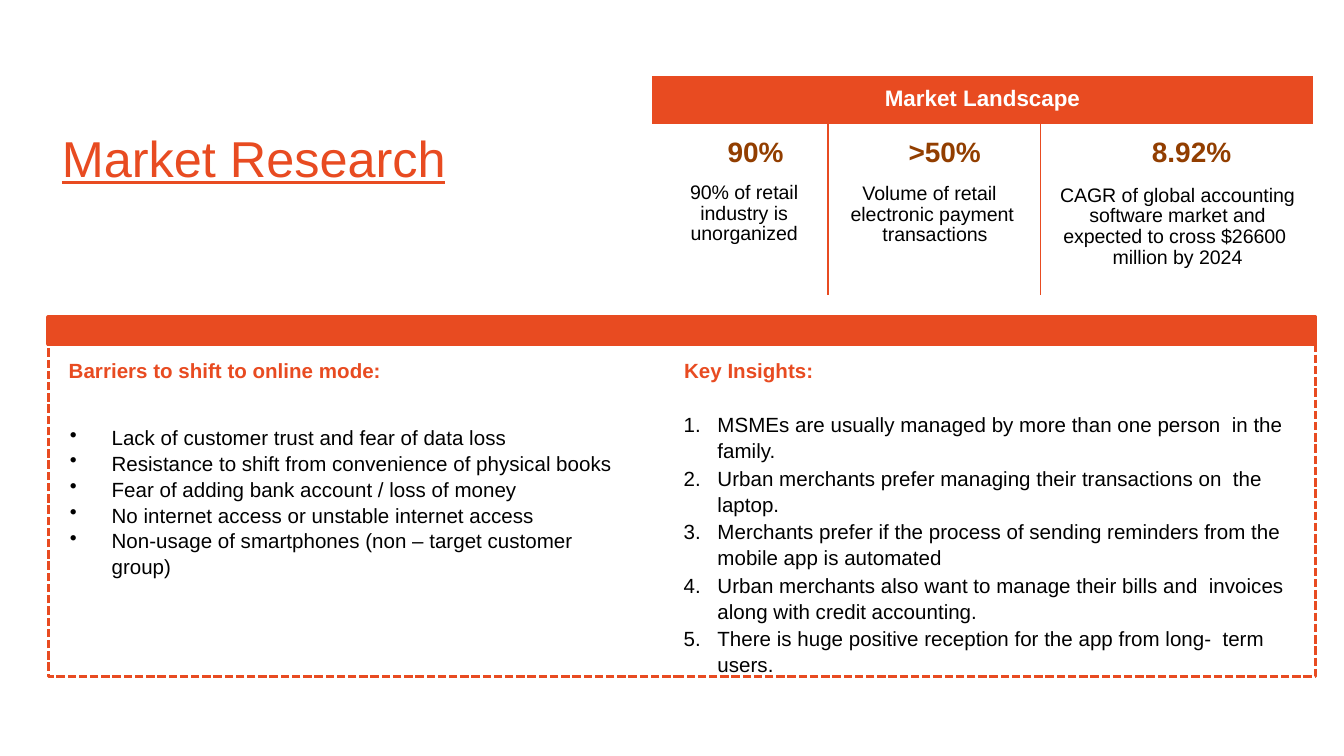
import pptx
import pptx.dml.color
import pptx.enum.dml
import pptx.enum.shapes
import pptx.enum.text
import pptx.oxml.ns
import pptx.oxml.xmlchemy
import pptx.util
from lxml import etree

Cm = pptx.util.Cm
Pt = pptx.util.Pt
qn = pptx.oxml.ns.qn
ALIGN = pptx.enum.text.PP_ALIGN

ORANGE = pptx.dml.color.RGBColor(0xE8, 0x4B, 0x21)
BROWN = pptx.dml.color.RGBColor(0x92, 0x3E, 0x00)
BLACK = pptx.dml.color.RGBColor(0, 0, 0)
WHITE = pptx.dml.color.RGBColor(255, 255, 255)

NO_TABLE_STYLE = "{2D5ABB26-0587-4C30-8999-92F81FD0307C}"

# Column width, margins left and right, figure indent, gap in points, figure, text
LANDSCAPE = [
    (3.33, 0.69, 0.53, 0.74, 8, "90%", "90% of retail  industry is  unorganized"),
    (4.01, 0.41, 0.48, 1.11, 8.6, ">50%",
     "Volume of retail  electronic payment  transactions"),
    (5.16, 0.33, 0.3, 1.78, 9.4, "8.92%",
     "CAGR of global accounting  software market and  expected to cross "
     "$26600  million by 2024"),
]
BARRIERS = [
    "Lack of customer trust and fear of data loss",
    "Resistance to shift from convenience of physical books",
    "Fear of adding bank account / loss of money",
    "No internet access or unstable internet access",
    "Non-usage of smartphones (non – target customer  group)",
]
INSIGHTS = [
    "MSMEs are usually managed by more than one person  in the family.",
    "Urban merchants prefer managing their transactions on  the laptop.",
    "Merchants prefer if the process of sending reminders from the mobile app is automated",
    "Urban merchants also want to manage their bills and  invoices along with credit accounting.",
    "There is huge positive reception for the app from long-  term users.",
]


def write(paragraph, text, size, color, bold=False, align=ALIGN.LEFT,
          before=0, spacing=1.0):
    paragraph.text = text
    paragraph.alignment = align
    paragraph.space_before = Pt(before)
    paragraph.line_spacing = spacing
    font = paragraph.font
    font.name, font.size, font.bold = "Arial", Pt(size), bold
    font.color.rgb = color


def set_indent(paragraph, left, hanging=0):
    properties = paragraph._p.get_or_add_pPr()
    properties.set("marL", str(Cm(left)))
    properties.set("indent", str(-Cm(hanging)))
    return properties


def add_text_frame(slide, left, top, width, height, margin_right=0):
    frame = slide.shapes.add_textbox(
        Cm(left), Cm(top), Cm(width), Cm(height)).text_frame
    frame.word_wrap = True
    frame.margin_left = frame.margin_bottom = 0
    frame.margin_top = Cm(0.03)
    frame.margin_right = Cm(margin_right)
    return frame


def add_list(frame, heading, items, marker, left, hanging, first_gap, gap):
    """Heading followed by list items; marker is a bullet tag and its attribute."""
    write(frame.paragraphs[0], heading, 11, ORANGE, bold=True)
    set_indent(frame.paragraphs[0], 0.03)
    tag, attribute, value = marker
    for number, item in enumerate(items):
        paragraph = frame.add_paragraph()
        write(paragraph, item, 11, BLACK, spacing=1.05,
              before=gap if number else first_gap)
        properties = set_indent(paragraph, left, hanging)
        bullet = etree.Element(qn(tag), {attribute: value})
        properties.find(qn("a:defRPr")).addprevious(bullet)


def add_box(slide, left, top, width, height, line_width):
    box = slide.shapes.add_shape(
        pptx.enum.shapes.MSO_SHAPE.RECTANGLE,
        Cm(left), Cm(top), Cm(width), Cm(height))
    box.shadow.inherit = False
    box.fill.background()
    box.line.color.rgb = ORANGE
    box.line.width = Pt(line_width)
    return box


def add_side_border(cell, side):
    line = etree.Element(qn(f"a:{side}"), {"w": str(Pt(0.75))})
    fill = etree.SubElement(line, qn("a:solidFill"))
    etree.SubElement(fill, qn("a:srgbClr"), {"val": str(ORANGE)})
    cell._tc.get_or_add_tcPr().insert(0, line)


def add_landscape_table(slide):
    width = sum(column[0] for column in LANDSCAPE)
    table = slide.shapes.add_table(
        2, len(LANDSCAPE), Cm(12.32), Cm(1.43), Cm(width), Cm(4.14)).table
    table.first_row = table.horz_banding = False
    table._tbl.tblPr.find(qn("a:tableStyleId")).text = NO_TABLE_STYLE
    table.rows[0].height, table.rows[1].height = Cm(0.91), Cm(3.23)

    # Header across all columns
    header = table.cell(0, 0)
    header.merge(table.cell(0, len(LANDSCAPE) - 1))
    header.fill.solid()
    header.fill.fore_color.rgb = ORANGE
    header.margin_left = header.margin_right = header.margin_bottom = 0
    header.margin_top = Cm(0.2)
    write(header.text_frame.paragraphs[0], "Market Landscape", 12, WHITE,
          bold=True, align=ALIGN.CENTER)

    # One figure with its explanation in each column
    last = len(LANDSCAPE) - 1
    for index, (width, left, right, indent, gap, figure, text) in enumerate(LANDSCAPE):
        table.columns[index].width = Cm(width)
        cell = table.cell(1, index)
        cell.fill.background()
        cell.margin_left, cell.margin_right = Cm(left), Cm(right)
        cell.margin_top, cell.margin_bottom = Cm(0.25), 0
        figure_line = cell.text_frame.paragraphs[0]
        write(figure_line, figure, 15, BROWN, bold=True)
        set_indent(figure_line, indent)
        write(cell.text_frame.add_paragraph(), text, 10.5, BLACK,
              align=ALIGN.CENTER, before=gap, spacing=0.95)
        if index < last:
            add_side_border(cell, "lnR")
        if index > 0:
            add_side_border(cell, "lnL")


def main():
    deck = pptx.Presentation()
    deck.slide_width, deck.slide_height = Cm(25.4), Cm(14.29)
    slide = deck.slides.add_slide(deck.slide_layouts[6])

    # Title
    title = add_text_frame(slide, 1.14, 2.36, 8.61, 1.19)
    title.vertical_anchor = pptx.enum.text.MSO_ANCHOR.MIDDLE
    write(title.paragraphs[0], "Market Research", 27, ORANGE)
    title.paragraphs[0].font.underline = True
    set_indent(title.paragraphs[0], 0.03)

    add_landscape_table(slide)

    # Dashed frame with a solid band on top
    frame = add_box(slide, 0.91, 5.98, 23.95, 6.81, 1.5)
    frame.line.dash_style = pptx.enum.dml.MSO_LINE.SQUARE_DOT
    band = add_box(slide, 0.91, 6, 23.95, 0.5, 2)
    band.fill.solid()
    band.fill.fore_color.rgb = ORANGE

    # Lists inside the frame
    barriers = add_text_frame(slide, 1.27, 6.73, 11.23, 4.11, margin_right=0.75)
    add_list(barriers, "Barriers to shift to online mode:", BARRIERS,
             ("a:buChar", "char", "•"), 0.84, 0.79, 22.2, 0)
    insights = add_text_frame(slide, 12.9, 6.73, 11.96, 5.92)
    add_list(insights, "Key Insights:", INSIGHTS,
             ("a:buAutoNum", "type", "arabicPeriod"), 0.66, 0.64, 15.3, 1)

    deck.save("out.pptx")


if __name__ == "__main__":
    main()
